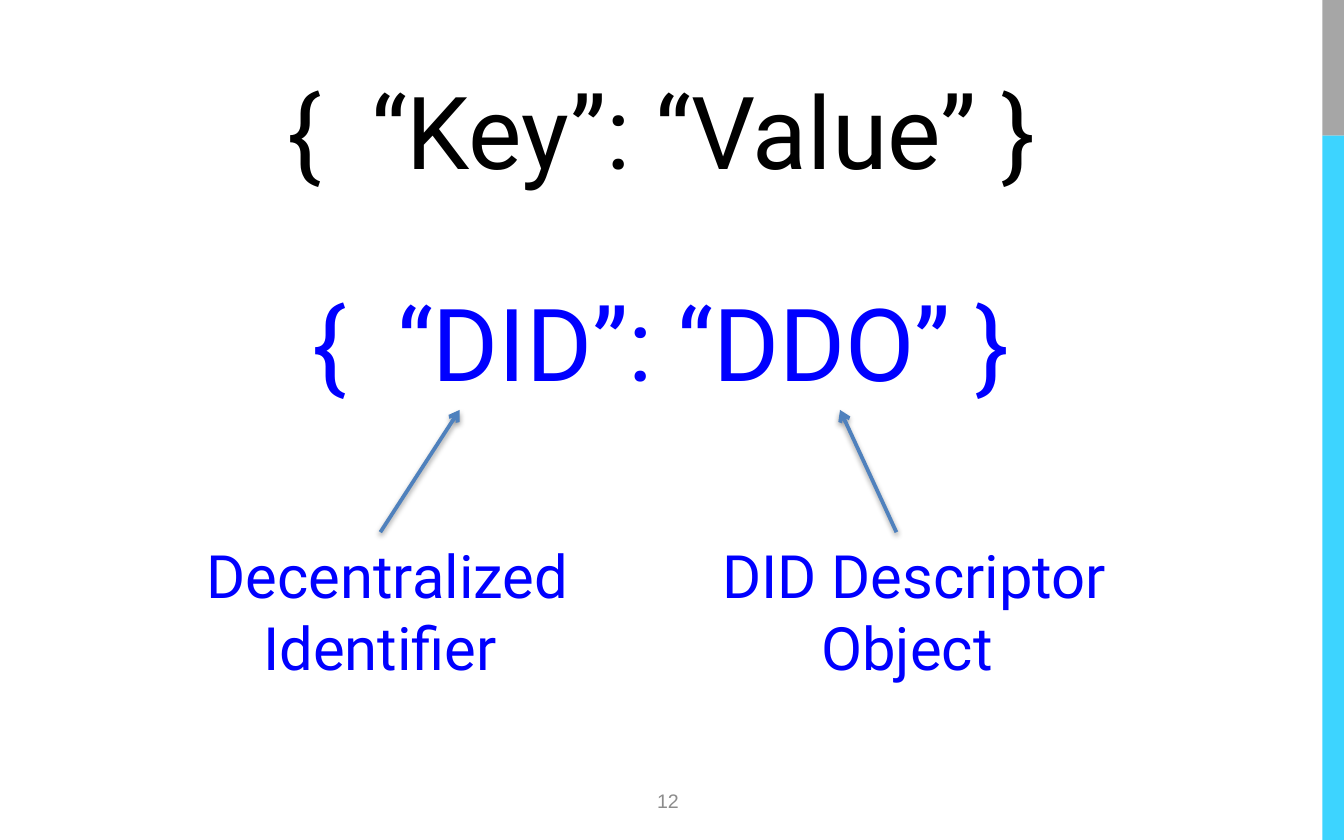
from dataclasses import dataclass

from lxml.etree import SubElement
from pptx import Presentation
from pptx.dml.color import RGBColor
from pptx.enum.shapes import MSO_CONNECTOR, MSO_SHAPE
from pptx.enum.text import MSO_ANCHOR, PP_ALIGN
from pptx.oxml.ns import qn
from pptx.util import Inches, Pt


@dataclass(frozen=True)
class Theme:
    body_font: str = "Roboto"
    number_font: str = "Arial"
    black: str = "000000"
    blue: str = "0000FF"
    steel: str = "4F81BD"
    gray: str = "A6A6A6"
    cyan: str = "3DD4FF"
    number_gray: str = "8C8C8C"
    pair_size: float = 54
    label_size: float = 32
    number_size: float = 10.5
    arrow_width: float = 2


class SlideBuilder:
    def __init__(self, slide, theme):
        self.slide = slide
        self.theme = theme

    def bar(self, left, top, width, height, color):
        shape = self.slide.shapes.add_shape(
            MSO_SHAPE.RECTANGLE, Inches(left), Inches(top), Inches(width), Inches(height))
        shape.shadow.inherit = False
        shape.fill.solid()
        shape.fill.fore_color.rgb = RGBColor.from_string(color)
        shape.line.fill.background()

    def text(self, box, content, size, color, font=None,
             alignment=PP_ALIGN.CENTER, anchor=MSO_ANCHOR.TOP):
        shape = self.slide.shapes.add_textbox(*map(Inches, box))
        frame = shape.text_frame
        frame.word_wrap = True
        frame.vertical_anchor = anchor
        paragraph = frame.paragraphs[0]
        paragraph.alignment = alignment
        run = paragraph.add_run()
        run.text = content
        run.font.name = font or self.theme.body_font
        run.font.size = Pt(size)
        run.font.color.rgb = RGBColor.from_string(color)

    def arrow(self, start, end):
        connector = self.slide.shapes.add_connector(
            MSO_CONNECTOR.STRAIGHT, *map(Inches, start + end))
        connector.line.color.rgb = RGBColor.from_string(self.theme.steel)
        connector.line.width = Pt(self.theme.arrow_width)
        SubElement(connector.line._get_or_add_ln(), qn("a:tailEnd"), type="arrow")
        properties = connector._element.spPr
        effects = SubElement(properties, qn("a:effectLst"))
        shadow = SubElement(effects, qn("a:outerShdw"), blurRad=str(Pt(3.1)),
                            dist=str(Pt(1.6)), dir="5400000", rotWithShape="0")
        color = SubElement(shadow, qn("a:srgbClr"), val=self.theme.black)
        SubElement(color, qn("a:alpha"), val="38000")


theme = Theme()
presentation = Presentation()
presentation.slide_width = Inches(10)
presentation.slide_height = Inches(6.25)
builder = SlideBuilder(presentation.slides.add_slide(presentation.slide_layouts[6]), theme)

builder.bar(9.84, 0, 0.16, 1.01, theme.gray)
builder.bar(9.84, 1.01, 0.16, 5.24, theme.cyan)
builder.text((4.79, 5.79, 0.41, 0.33), "12", theme.number_size, theme.number_gray,
             theme.number_font, PP_ALIGN.JUSTIFY, MSO_ANCHOR.MIDDLE)

pairs = [
    (0.46, " {  “Key”: “Value” }", theme.black),
    (2.04, " {  “DID”: “DDO” }", theme.blue),
]
for top, content, color in pairs:
    builder.text((1.08, top, 7.5, 1.01), content, theme.pair_size, color)

label_top, arrow_top = 3.96, 3.05
labels = [
    (1.08, " Decentralized Identifier", 3.42),
    (5, " DID Descriptor Object", 6.25),
]
for left, content, _ in labels:
    builder.text((left, label_top, 3.5, 1.18), content, theme.label_size, theme.blue)
for left, _, target in labels:
    center = left + 3.5 / 2 if left < 5 else 6.67
    builder.arrow((center, label_top), (target, arrow_top)) if left >= 5 else builder.arrow(
        (2.83, label_top), (target, arrow_top))

presentation.save("out.pptx")
